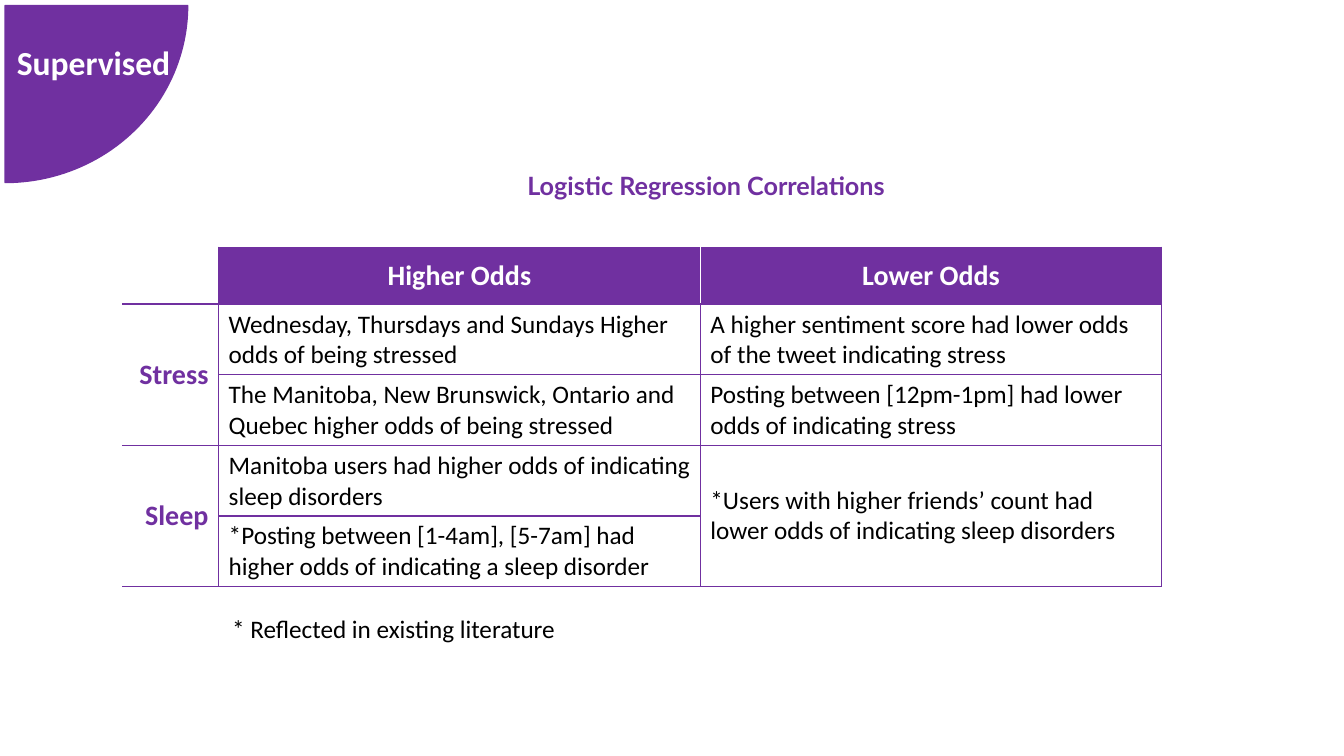
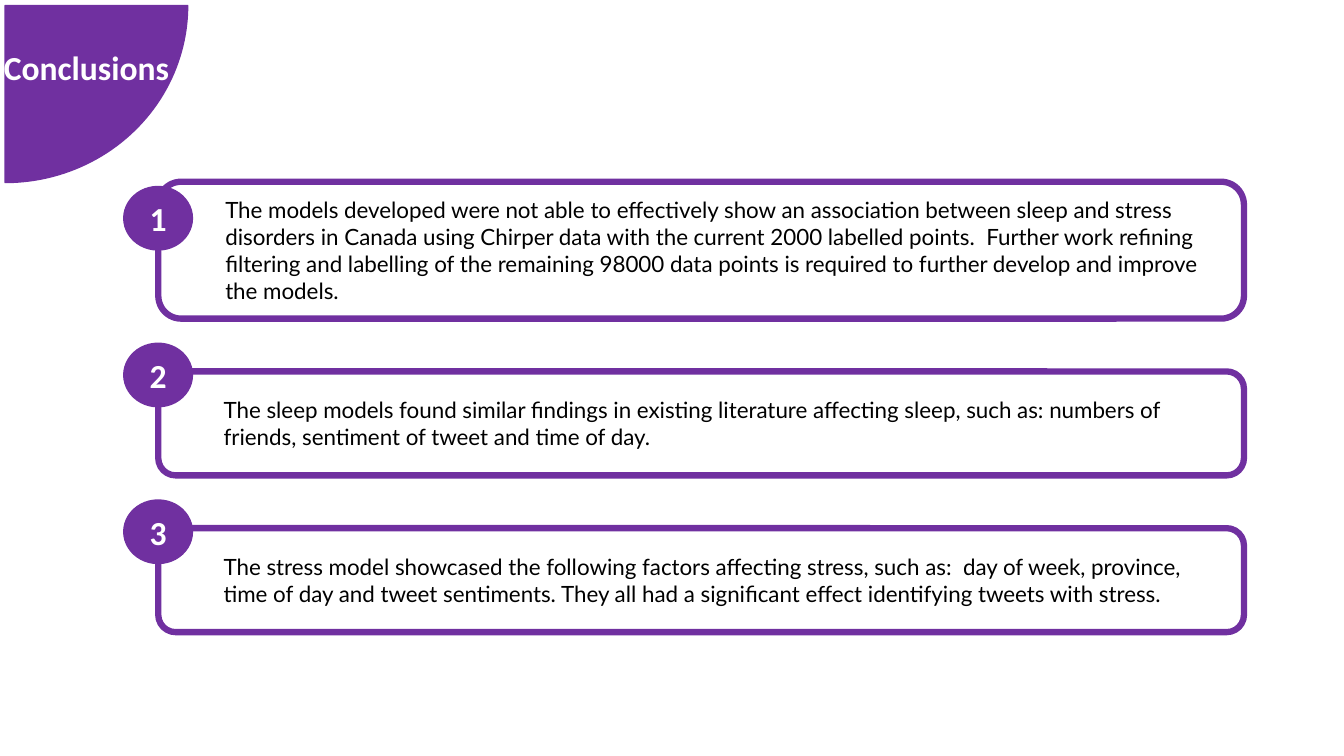
"""Build two slides on regression correlations and study conclusions."""
from lxml.etree import SubElement
from pptx import Presentation
from pptx.dml.color import RGBColor
from pptx.enum.shapes import MSO_SHAPE
from pptx.enum.text import MSO_ANCHOR, PP_ALIGN
from pptx.oxml import parse_xml
from pptx.oxml.ns import nsdecls, qn
from pptx.util import Cm, Pt

PURPLE = RGBColor(0x70, 0x30, 0xA0)
WHITE = RGBColor(0xFF, 0xFF, 0xFF)
BLACK = RGBColor(0x00, 0x00, 0x00)
BODY_FONT = "Calibri"
ACCENT_FONT = "Lato"

COLUMN_WIDTHS = (2.41, 12.14, 11.63)
HEADER_HEIGHT, ROW_HEIGHT = 1.43, 1.78
CORRELATIONS = (
    ("", "Higher Odds", "Lower Odds"),
    ("Stress",
     "Wednesday, Thursdays and Sundays Higher odds of being stressed",
     "A higher sentiment score had lower odds of the tweet indicating stress"),
    ("",
     "The Manitoba, New Brunswick, Ontario and Quebec higher odds of being stressed",
     "Posting between [12pm-1pm] had lower odds of indicating stress"),
    ("Sleep",
     "Manitoba users had higher odds of indicating sleep disorders",
     "*Users with higher friends’ count had lower odds of indicating sleep disorders"),
    ("",
     "*Posting between [1-4am], [5-7am] had higher odds of indicating a sleep disorder",
     ""),
)
MERGES = (((1, 0), (2, 0)), ((3, 0), (4, 0)), ((3, 2), (4, 2)))

CARD_PITCH = 3.95
CONCLUSIONS = (
    (3.45, "The models developed were not able to effectively show an association "
           "between sleep and stress disorders in Canada using Chirper data with the "
           "current 2000 labelled points.  Further work refining filtering and "
           "labelling of the remaining 98000 data points is required to further "
           "develop and improve the models."),
    (2.62, "The sleep models found similar findings in existing literature affecting "
           "sleep, such as: numbers of friends, sentiment of tweet and time of day."),
    (2.62, "The stress model showcased the following factors affecting stress, such "
           "as:  day of week, province, time of day and tweet sentiments. They all had "
           "a significant effect identifying tweets with stress."),
)


def write(frame, text, size, color, bold=False, align=PP_ALIGN.LEFT, font=BODY_FONT):
    """Fill a text frame with one styled paragraph."""
    frame.word_wrap = True
    para = frame.paragraphs[0]
    para.text = text
    para.alignment = align
    para.font.name = font
    para.font.size = Pt(size)
    para.font.bold = bold
    para.font.color.rgb = color


def add_text(page, left, top, width, height, text, size, color, **style):
    """Place a text box and return its frame."""
    box = page.shapes.add_textbox(Cm(left), Cm(top), Cm(width), Cm(height))
    write(box.text_frame, text, size, color, **style)
    return box.text_frame


def add_outlined(page, kind, left, top, width, height, line_width=1, filled=True):
    """Place a purple preset shape, either filled or hollow."""
    shape = page.shapes.add_shape(kind, Cm(left), Cm(top), Cm(width), Cm(height))
    shape.shadow.inherit = False
    if filled:
        shape.fill.solid()
        shape.fill.fore_color.rgb = PURPLE
    else:
        shape.fill.background()
    shape.line.color.rgb = PURPLE
    shape.line.width = Pt(line_width)
    shape.text_frame.vertical_anchor = MSO_ANCHOR.MIDDLE
    return shape


def add_corner(page, title, left, top):
    """Draw the quarter disc in the corner with the slide title on it."""
    disc = add_outlined(page, MSO_SHAPE.PIE, -4.47, -4.32, 9.2, 8.92)
    disc.adjustments[0] = 0
    disc.adjustments[1] = 54
    frame = add_text(page, left, top, 4.72, 1.27, title, 24, WHITE,
                     bold=True, align=PP_ALIGN.CENTER)
    frame.margin_left = frame.margin_right = 0


def set_borders(cell, left, right, top, bottom):
    """Give the four edges of a cell one-point lines."""
    properties = cell._tc.get_or_add_tcPr()
    edges = (("lnL", left), ("lnR", right), ("lnT", top), ("lnB", bottom))
    for position, (tag, color) in enumerate(edges):
        line = parse_xml(f'<a:{tag} {nsdecls("a")} w="{Pt(1)}"/>')
        fill = SubElement(line, qn("a:solidFill"))
        SubElement(fill, qn("a:srgbClr"), val=str(color))
        properties.insert(position, line)


def style_cell(cell, row, column, text):
    """Write, fill and border a cell according to its place in the table."""
    header = row == 0 and column > 0
    label = column == 0
    cell.vertical_anchor = MSO_ANCHOR.MIDDLE
    cell.fill.solid()
    cell.fill.fore_color.rgb = PURPLE if header else WHITE
    if header:
        cell.margin_left = cell.margin_right = cell.margin_top = cell.margin_bottom = 0
        write(cell.text_frame, text, 20, WHITE, bold=True, align=PP_ALIGN.CENTER)
    elif label:
        write(cell.text_frame, text, 20, PURPLE, bold=True, align=PP_ALIGN.RIGHT)
    else:
        write(cell.text_frame, text, 18, BLACK)
    set_borders(
        cell,
        left=WHITE if label or (header and column == 2) else PURPLE,
        right=WHITE if header and column == 1 else PURPLE,
        top=WHITE if label and row == 0 else PURPLE,
        bottom=PURPLE,
    )


def add_correlation_table(page, left, top):
    """Place the table of higher and lower odds."""
    heights = [HEADER_HEIGHT] + [ROW_HEIGHT] * (len(CORRELATIONS) - 1)
    table = page.shapes.add_table(
        len(heights), len(COLUMN_WIDTHS), Cm(left), Cm(top),
        Cm(sum(COLUMN_WIDTHS)), Cm(sum(heights))).table
    table.horz_banding = False
    for column, width in zip(table.columns, COLUMN_WIDTHS):
        column.width = Cm(width)
    for row, height in zip(table.rows, heights):
        row.height = Cm(height)
    for row, texts in enumerate(CORRELATIONS):
        for column, text in enumerate(texts):
            style_cell(table.cell(row, column), row, column, text)
    for first, last in MERGES:
        table.cell(*first).merge(table.cell(*last))


def add_conclusion(page, left, top, number, height, text):
    """Place a numbered badge over a card that ends at a fixed depth below it."""
    card = add_outlined(page, MSO_SHAPE.ROUNDED_RECTANGLE, left + 0.87,
                        top + 3.33 - height, 27.36, height,
                        line_width=4.5, filled=False)
    card.text_frame.margin_left = Cm(1.52)
    write(card.text_frame, text, 16, BLACK, font=ACCENT_FONT)
    badge = add_outlined(page, MSO_SHAPE.OVAL, left, top, 1.73, 1.6)
    write(badge.text_frame, str(number), 24, WHITE, bold=True, align=PP_ALIGN.CENTER)


def build_supervised(page):
    """Build the slide with the regression table."""
    add_corner(page, "Supervised", 0, 0.94)
    add_correlation_table(page, 3.1, 6.23)
    add_text(page, 11.66, 4.17, 12.27, 1.02, "Logistic Regression Correlations", 18,
             PURPLE, bold=True, align=PP_ALIGN.CENTER, font=ACCENT_FONT)
    add_text(page, 5.6, 15.32, 11.35, 1.02, "* Reflected in existing literature",
             18, BLACK)


def build_conclusions(page):
    """Build the slide with the numbered conclusions."""
    add_corner(page, "Conclusions", -0.18, 1.07)
    for index, (height, text) in enumerate(CONCLUSIONS):
        add_conclusion(page, 3.12, 4.7 + index * CARD_PITCH, index + 1, height, text)


def main():
    """Create the deck and save it."""
    deck = Presentation()
    deck.slide_width, deck.slide_height = Cm(33.87), Cm(19.05)
    for build in (build_supervised, build_conclusions):
        build(deck.slides.add_slide(deck.slide_layouts[6]))
    deck.save("out.pptx")


main()
